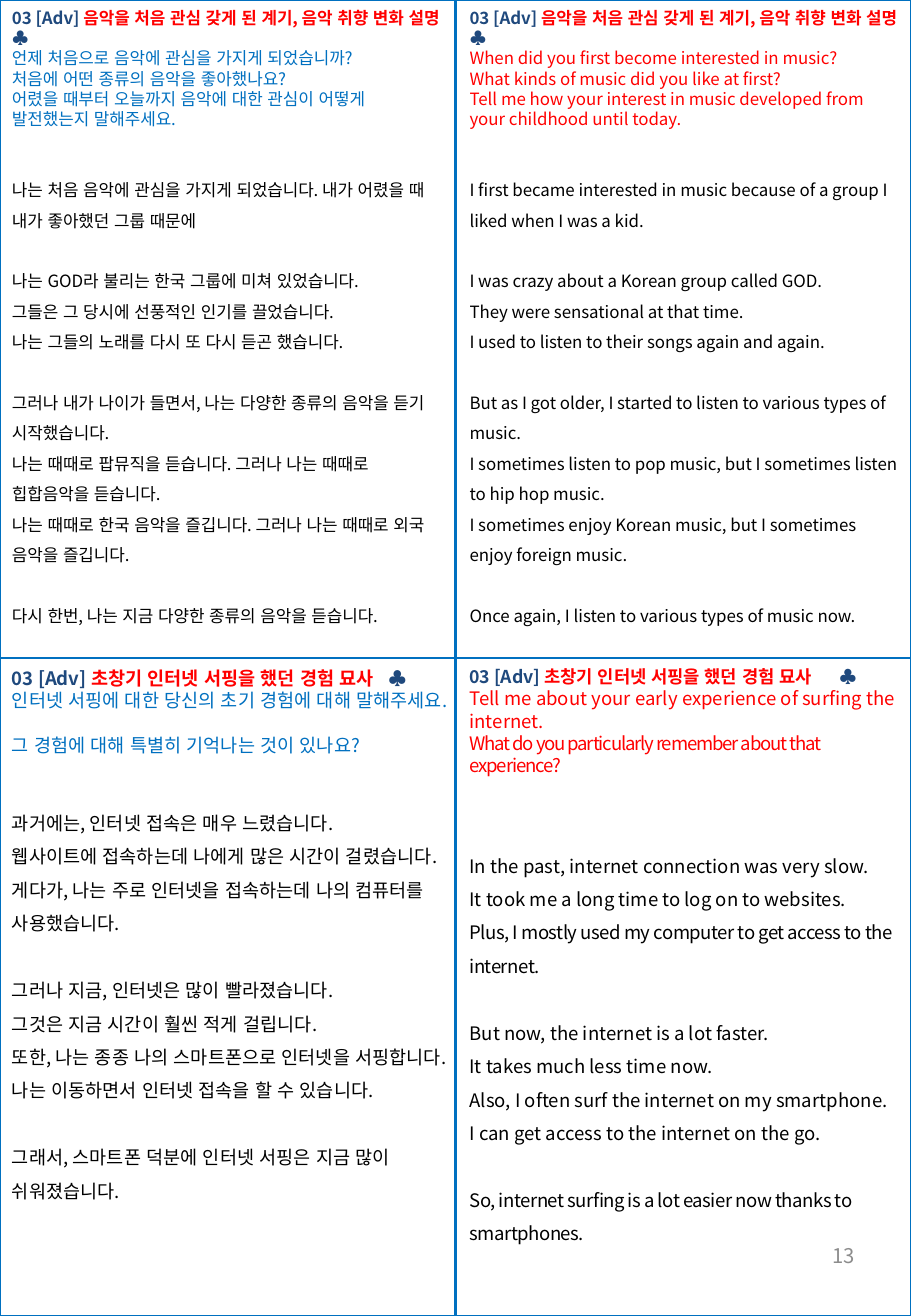
"""Build a four-panel Korean and English speaking practice sheet."""
from lxml.etree import SubElement
from pptx import Presentation
from pptx.dml.color import RGBColor
from pptx.enum.lang import MSO_LANGUAGE_ID
from pptx.enum.shapes import MSO_CONNECTOR, MSO_SHAPE
from pptx.enum.text import MSO_ANCHOR, PP_ALIGN
from pptx.oxml.ns import qn
from pptx.util import Cm, Pt

FONT = "Noto Sans CJK KR"
NAVY, BLUE, RED, BLACK, GRAY = "1F497D", "0070C0", "FF0000", "000000", "8C8C8C"
WIDTH, HEIGHT = 19.05, 27.51
LABEL = "03 [Adv] "
MUSIC = "음악을 처음 관심 갖게 된 계기, 음악 취향 변화 설명"
INTERNET = "초창기 인터넷 서핑을 했던 경험 묘사"
PAGE = "13"

PANELS = [
    dict(
        at=(0, 0.03, 9.53, 13.64), title=MUSIC, title_size=10, size=10,
        club=6.95, gap=2.4, color=BLUE,
        questions=[
            "언제 처음으로 음악에 관심을 가지게 되었습니까?\v"
            "처음에 어떤 종류의 음악을 좋아했나요?\v"
            "어렸을 때부터 오늘까지 음악에 대한 관심이 어떻게 발전했는지 말해주세요.",
        ],
        answers=[
            ["나는 처음 음악에 관심을 가지게 되었습니다. 내가 어렸을 때 내가 좋아했던 그룹 때문에"],
            ["나는 GOD라 불리는 한국 그룹에 미쳐 있었습니다.",
             "그들은 그 당시에 선풍적인 인기를 끌었습니다.",
             "나는 그들의 노래를 다시 또 다시 듣곤 했습니다."],
            ["그러나 내가 나이가 들면서, 나는 다양한 종류의 음악을 듣기 시작했습니다.",
             "나는 때때로 팝뮤직을 듣습니다. 그러나 나는 때때로 힙합음악을 듣습니다.",
             "나는 때때로 한국 음악을 즐깁니다. 그러나 나는 때때로 외국 음악을 즐깁니다."],
            ["다시 한번, 나는 지금 다양한 종류의 음악을 듣습니다."],
        ],
    ),
    dict(
        at=(9.57, 0.03, 9.53, 13.64), title=MUSIC, title_size=10, size=10,
        club=6.95, gap=2.4, color=RED,
        questions=[
            "When did you first become interested in music?",
            "What kinds of music did you like at first?",
            "Tell me how your interest in music developed from your childhood until today.",
        ],
        answers=[
            ["I first became interested in music because of a group I liked when I was a kid."],
            ["I was crazy about a Korean group called GOD.",
             "They were sensational at that time.",
             "I used to listen to their songs again and again."],
            ["But as I got older, I started to listen to various types of music.",
             "I sometimes listen to pop music, but I sometimes listen to hip hop music.",
             "I sometimes enjoy Korean music, but I sometimes enjoy foreign music."],
            ["Once again, I listen to various types of music now."],
        ],
    ),
    dict(
        at=(0, 13.82, 9.53, 13.28), title=INTERNET, title_size=11, size=11,
        club=7.88, gap=2.4, color=BLUE,
        questions=[
            "인터넷 서핑에 대한 당신의 초기 경험에 대해 말해주세요.\v"
            "그 경험에 대해 특별히 기억나는 것이 있나요?",
        ],
        answers=[
            ["과거에는, 인터넷 접속은 매우 느렸습니다.",
             "웹사이트에 접속하는데 나에게 많은 시간이 걸렸습니다.",
             "게다가, 나는 주로 인터넷을 접속하는데 나의 컴퓨터를 사용했습니다."],
            ["그러나 지금, 인터넷은 많이 빨라졌습니다.",
             "그것은 지금 시간이 훨씬 적게 걸립니다.",
             "또한, 나는 종종 나의 스마트폰으로 인터넷을 서핑합니다.",
             "나는 이동하면서 인터넷 접속을 할 수 있습니다."],
            ["그래서, 스마트폰 덕분에 인터넷 서핑은 지금 많이 쉬워졌습니다."],
        ],
    ),
    dict(
        at=(9.57, 13.8, 9.53, 12.6), title=INTERNET, title_size=10.5, size=11,
        club=7.74, gap=3.6, color=RED,
        questions=[
            "Tell me about your early experience of surfing the internet.",
            ("What do you particularly remember about that experience?", -0.7),
        ],
        answers=[
            ["In the past, internet connection was very slow.",
             "It took me a long time to log on to websites.",
             ("Plus, I mostly used my computer to get access to the internet.", -0.3)],
            ["But now, the internet is a lot faster.",
             "It takes much less time now.",
             "Also, I often surf the internet on my smartphone.",
             "I can get access to the internet on the go."],
            [("So, internet surfing is a lot easier now thanks to smartphones.", -0.3)],
        ],
    ),
]


def rgb(value):
    return RGBColor.from_string(value)


def style(p, size, color, bold=False, tracking=0):
    p.font.name, p.font.size, p.font.bold = FONT, Pt(size), bold
    p.font.color.rgb = rgb(color)
    p.font.language_id = MSO_LANGUAGE_ID.KOREAN
    props = p._p.pPr.find(qn("a:defRPr"))
    SubElement(props, qn("a:ea")).set("typeface", FONT)
    if tracking:
        props.set("spc", str(round(tracking * 100)))


def add_box(s, at):
    tf = s.shapes.add_textbox(*map(Cm, at)).text_frame
    tf.word_wrap = True
    return tf


def add_title(p, panel):
    tabs = SubElement(p._p.get_or_add_pPr(), qn("a:tabLst"))
    tab = SubElement(tabs, qn("a:tab"))
    tab.set("pos", str(Cm(panel["club"])))
    tab.set("algn", "l")
    style(p, panel["title_size"], NAVY, bold=True)
    for text, color in ((LABEL, NAVY), (panel["title"] + "\t", RED), ("♣", NAVY)):
        r = p.add_run()
        r.text = text
        r.font.color.rgb = rgb(color)


def add_line(tf, line, size, color):
    text, tracking = line if isinstance(line, tuple) else (line, 0)
    p = tf.add_paragraph()
    p.text = text
    style(p, size, color, tracking=tracking)
    return p


def add_panel(s, panel):
    tf, size = add_box(s, panel["at"]), panel["size"]
    add_title(tf.paragraphs[0], panel)
    for question in panel["questions"]:
        add_line(tf, question, size, panel["color"])
    for i, stanza in enumerate(panel["answers"]):
        for j, line in enumerate(stanza):
            p = add_line(tf, line, size, BLACK)
            p.line_spacing = 1.5
            if j == 0:
                p.space_before = Pt(size * (1.8 if i else panel["gap"]))


def add_grid(s):
    middle, center = HEIGHT / 2, WIDTH / 2
    for ends in ((0, middle, WIDTH, middle), (center, 0, center, HEIGHT)):
        rule = s.shapes.add_connector(MSO_CONNECTOR.STRAIGHT, *map(Cm, ends))
        rule.line.color.rgb, rule.line.width = rgb(BLUE), Pt(1.5)
        SubElement(rule._element.spPr, qn("a:effectLst"))
    sp = s.shapes.add_shape(MSO_SHAPE.RECTANGLE, 0, 0, Cm(WIDTH), Cm(HEIGHT))
    sp.shadow.inherit = False
    sp.fill.background()
    sp.line.color.rgb, sp.line.width = rgb(BLUE), Pt(1.5)


def add_page_number(s):
    tf = add_box(s, (13.67, 25.5, 4.45, 1.47))
    tf.vertical_anchor = MSO_ANCHOR.MIDDLE
    p = tf.paragraphs[0]
    p.text, p.alignment = PAGE, PP_ALIGN.RIGHT
    style(p, 12, GRAY)


def main():
    prs = Presentation()
    prs.slide_width, prs.slide_height = Cm(WIDTH), Cm(HEIGHT)
    s = prs.slides.add_slide(prs.slide_layouts[6])
    add_grid(s)
    add_page_number(s)
    for panel in PANELS:
        add_panel(s, panel)
    prs.save("out.pptx")


if __name__ == "__main__":
    main()
